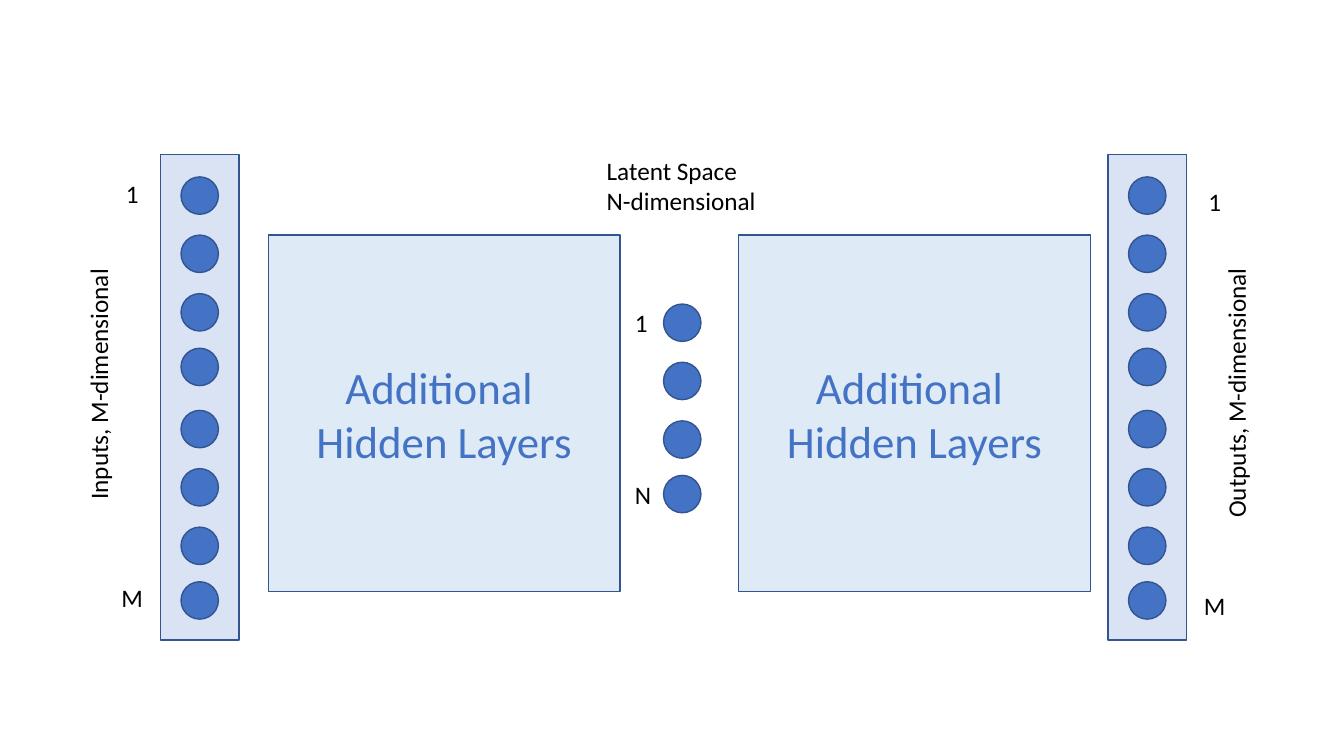
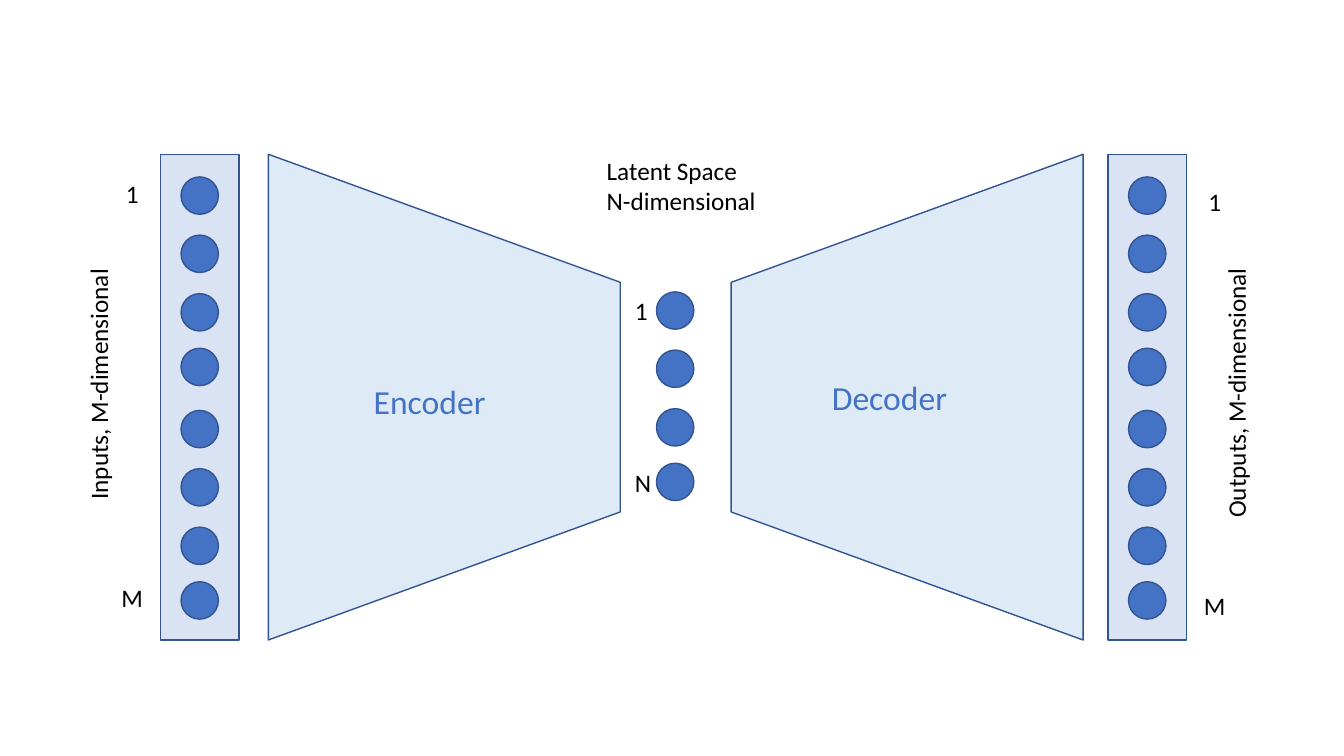
from pptx import Presentation
from pptx.dml.color import RGBColor
from pptx.enum.shapes import MSO_SHAPE
from pptx.enum.text import MSO_ANCHOR, MSO_AUTO_SIZE, PP_ALIGN
from pptx.util import Inches, Pt

HUE = {"node": "4472C4", "edge": "325491", "bar": "DAE3F3",
       "block": "DEEBF7", "ink": "000000"}
FONT = "Calibri"
WIDE, HIGH = Inches(13.33), Inches(7.5)
COLS, ROWS = 160, 90

# All lengths below are columns and rows of the grid.
DOT = 4.45
STEPS = (0, 6.93, 13.9, 20.4)
HALF = 27.8
BAR_W, BAR_H, BAR_TOP = 9.36, 57.84, 18.36
BLOCK_W = 41.88
LINE = 4.85
SPANS = {"1": 3.96, "M": 5.04, "N": 4.32}


def place(box):
    """Turn a grid box into lengths on the slide."""
    left, top, wide, high = box
    return [int(cells * size / count) for cells, size, count in
            ((left, WIDE, COLS), (top, HIGH, ROWS),
             (wide, WIDE, COLS), (high, HIGH, ROWS))]


def middle(x, y, wide, high):
    """Return the box of a given size centred on a point."""
    return x - wide / 2, y - high / 2, wide, high


def write(shape, words, size=18, hue="ink", align=PP_ALIGN.LEFT,
          anchor=MSO_ANCHOR.TOP, wrap=False):
    """Put formatted text into a shape."""
    frame = shape.text_frame
    frame.word_wrap = wrap
    frame.vertical_anchor = anchor
    para = frame.paragraphs[0]
    para.text = words
    para.alignment = align
    for run in para.runs:
        run.font.name = FONT
        run.font.size = Pt(size)
        run.font.color.rgb = RGBColor.from_string(HUE[hue])


def label(shapes, box, words, turn=0, **style):
    """Add a text box that fits its text."""
    item = shapes.add_textbox(*place(box))
    item.rotation = turn
    write(item, words, **style)
    item.text_frame.auto_size = MSO_AUTO_SIZE.SHAPE_TO_FIT_TEXT


def draw(shapes, kind, box, hue):
    """Add a filled, outlined shape."""
    item = shapes.add_shape(kind, *place(box))
    item.shadow.inherit = False
    item.fill.solid()
    item.fill.fore_color.rgb = RGBColor.from_string(HUE[hue])
    item.line.color.rgb = RGBColor.from_string(HUE["edge"])
    item.line.width = Pt(1)
    return item


def nodes(shapes, left, top):
    """Stack four nodes downward."""
    for step in STEPS:
        draw(shapes, MSO_SHAPE.OVAL, (left, top + step, DOT, DOT), "node")


def layer(shapes, left, name, span, mark, side, drop=0):
    """Draw an outer layer with its marks and upright name beside it."""
    draw(shapes, MSO_SHAPE.RECTANGLE, (left, BAR_TOP, BAR_W, BAR_H), "bar")
    for start in (0, HALF):
        nodes(shapes, left + (BAR_W - DOT) / 2, BAR_TOP + 2.7 + start)
    top = BAR_TOP + drop
    for sign, row in (("1", 4.7), ("M", 52.8)):
        label(shapes, middle(left + mark, top + row, SPANS[sign], LINE), sign)
    label(shapes, middle(left + side, top + 27.25, span, LINE), name, turn=270)


def latent(shapes, left, top):
    """Draw the latent nodes with their title and marks."""
    nodes(shapes, left, top)
    label(shapes, (71.04, 17.88, 20.4, 8.48), "Latent Space\vN-dimensional")
    for sign, row in (("1", -0.24), ("N", 20.28)):
        label(shapes, (74.4, top + row, SPANS[sign], LINE), sign)


def hidden(shapes, left):
    """Draw a square block of hidden layers."""
    item = draw(shapes, MSO_SHAPE.RECTANGLE, (left, 27.96, BLOCK_W, 42.48), "block")
    write(item, "Additional \vHidden Layers", size=32, hue="node", wrap=True,
          align=PP_ALIGN.CENTER, anchor=MSO_ANCHOR.MIDDLE)


def funnel(shapes, left, name, turn, shift, drop=0):
    """Draw a trapezoid on its side, with a name near its centre."""
    x, y = left + BLOCK_W / 2, BAR_TOP + BAR_H / 2
    item = draw(shapes, MSO_SHAPE.TRAPEZOID, middle(x, y, BAR_H, BLOCK_W), "block")
    item.adjustments[0] = 0.364
    item.rotation = turn
    label(shapes, middle(x + shift, y + drop, 22.44, 6.06), name, size=24,
          hue="node", align=PP_ALIGN.CENTER, wrap=True)


def network(shapes, left, top):
    """Draw the parts that both slides share."""
    layer(shapes, 19.1, "Inputs, M-dimensional", 30.12, mark=-3.3, side=-7.38)
    layer(shapes, 131.9, "Outputs, M-dimensional", 32.4, mark=12.75, side=15.24, drop=1)
    latent(shapes, left, top)


def blocks(deck):
    """Build the slide with hidden layers as blocks."""
    shapes = deck.slides.add_slide(deck.slide_layouts[6]).shapes
    network(shapes, 79, 36.2)
    for left in (31.95, 87.95):
        hidden(shapes, left)


def coder(deck):
    """Build the slide with encoder and decoder, as one group."""
    page = deck.slides.add_slide(deck.slide_layouts[6])
    shapes = page.shapes.add_group_shape().shapes
    network(shapes, 78.15, 34.75)
    funnel(shapes, 31.95, "Encoder", 90, shift=-1.75, drop=0.5)
    funnel(shapes, 87.05, "Decoder", 270, shift=-2.1)


deck = Presentation()
deck.slide_width, deck.slide_height = WIDE, HIGH
blocks(deck)
coder(deck)
deck.save("out.pptx")
